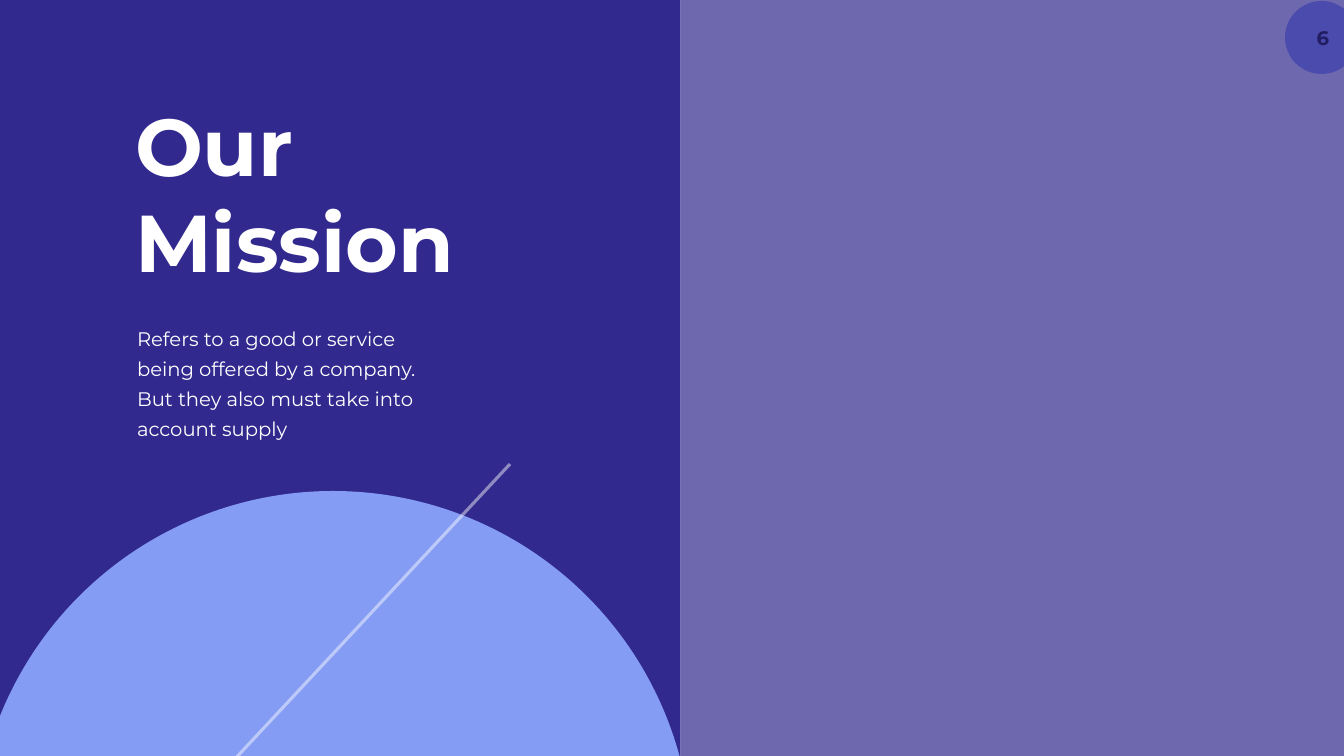
from pptx import Presentation
from pptx.dml.color import RGBColor
from pptx.enum.shapes import MSO_CONNECTOR, MSO_SHAPE
from pptx.enum.text import MSO_ANCHOR, MSO_AUTO_SIZE, PP_ALIGN
from pptx.oxml.ns import qn
from pptx.util import Pt
from lxml.etree import SubElement

# Content
TITLE = "Our Mission"
MISSION = ("Refers to a good or service being offered by a company. "
           "But they also must take into account supply")
PAGE_NUMBER = "6"

# Style and size, lengths in px
FONT = "Montserrat"
INDIGO, SKY, WHITE, BLACK = "31298E", "859CF4", "FFFFFF", "000000"
WIDTH, HEIGHT = 1344, 756
SPLIT = 680.4
EMU_PER_PX = 914400 / 50.4


def px(length):
    return round(length * EMU_PER_PX)


def rgb(color):
    return RGBColor.from_string(color)


def set_alpha(fill, percent):
    """Make a solid fill see-through."""
    color = fill._xPr.find(qn("a:solidFill"))[0]
    SubElement(color, qn("a:alpha"), val=str(percent * 1000))


def add_filled(kind, box, color, alpha=100):
    shape = slide.shapes.add_shape(kind, *map(px, box))
    shape.shadow.inherit = False
    shape.fill.solid()
    shape.fill.fore_color.rgb = rgb(color)
    shape.line.fill.background()
    if alpha < 100:
        set_alpha(shape.fill, alpha)


def write(shape, box, insets, text, size, color, bold=False, align=PP_ALIGN.LEFT):
    """Place a text shape, fill it with one run and return its paragraph."""
    shape.left, shape.top, shape.width, shape.height = map(px, box)
    frame = shape.text_frame
    frame.word_wrap = True
    frame.auto_size = MSO_AUTO_SIZE.NONE
    frame.vertical_anchor = MSO_ANCHOR.TOP
    (frame.margin_left, frame.margin_top,
     frame.margin_right, frame.margin_bottom) = map(px, insets)
    paragraph = frame.paragraphs[0]
    paragraph.alignment = align
    paragraph.space_before = Pt(0)
    run = paragraph.add_run()
    run.text = text
    run.font.name = FONT
    run.font.size = Pt(size)
    run.font.bold = bold
    run.font.color.rgb = rgb(color)
    return paragraph


def bring_to_front(shape):
    shape.element.getparent().append(shape.element)


presentation = Presentation()
presentation.slide_width, presentation.slide_height = px(WIDTH), px(HEIGHT)
slide = presentation.slides.add_slide(presentation.slide_layouts[1])
slide.background.fill.solid()
slide.background.fill.fore_color.rgb = rgb(WHITE)
title, body = slide.shapes.title, slide.placeholders[1]

# Page number, seen through the right panel
add_filled(MSO_SHAPE.OVAL, (1285, 1, 73, 73), SKY)
number = slide.shapes.add_textbox(0, 0, 0, 0)
write(number, (1280, 21, 60, 34), (10, 5, 11, 5), PAGE_NUMBER, 28, BLACK,
      bold=True, align=PP_ALIGN.RIGHT)

# Right and left panels
add_filled(MSO_SHAPE.RECTANGLE, (SPLIT, 0, WIDTH - SPLIT, HEIGHT), INDIGO, alpha=70)
add_filled(MSO_SHAPE.RECTANGLE, (0, 0, SPLIT, HEIGHT), INDIGO)

# Title and mission text
bring_to_front(title)
write(title, (130, 93, 336, 200), (5, 2.5, 5, 2.5), TITLE, 115, WHITE, bold=True)

bring_to_front(body)
properties = body.text_frame.paragraphs[0]._p.get_or_add_pPr()
properties.set("marL", "0")
properties.set("indent", "0")
SubElement(properties, qn("a:buNone"))
mission = write(body, (125, 314, 341, 131), (12, 6, 12, 6), MISSION, 28, WHITE)
mission.line_spacing = Pt(43)

# Large circle with a diagonal line
add_filled(MSO_SHAPE.OVAL, (-26, 491, 718, 718), SKY)
diagonal = slide.shapes.add_connector(
    MSO_CONNECTOR.STRAIGHT, *map(px, (510, 464, -71, 1087)))
diagonal.line.width = Pt(4.5)
diagonal.line.fill.solid()
diagonal.line.fill.fore_color.rgb = rgb(WHITE)
set_alpha(diagonal.line.fill, 45)
SubElement(diagonal.element.spPr, qn("a:effectLst"))

presentation.save("out.pptx")
